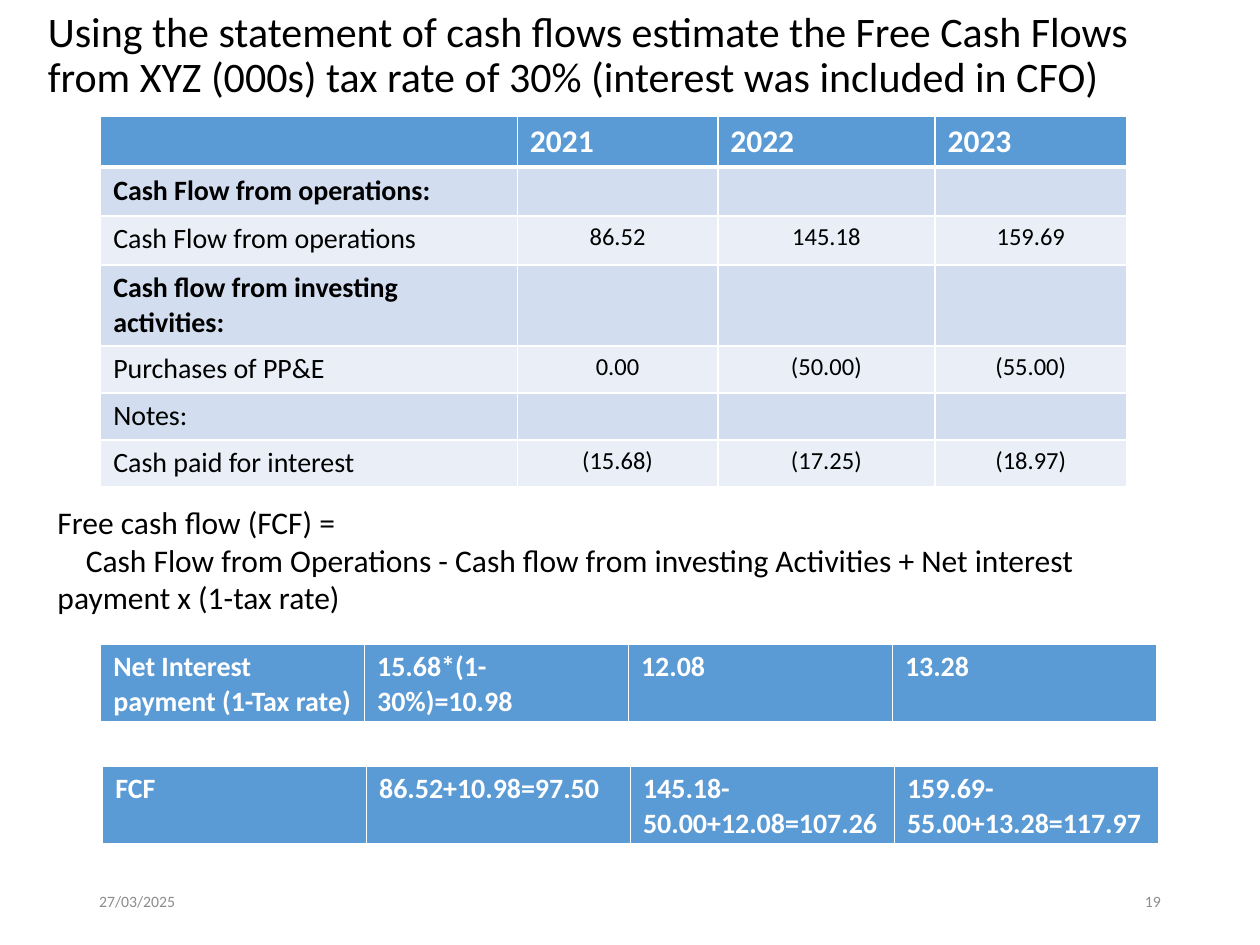
from lxml import etree
from pptx import Presentation
from pptx.dml.color import RGBColor
from pptx.enum.text import MSO_ANCHOR, MSO_AUTO_SIZE, PP_ALIGN
from pptx.oxml.ns import qn
from pptx.util import Cm, Pt

LEFT, MID, RIGHT = PP_ALIGN.LEFT, PP_ALIGN.CENTER, PP_ALIGN.RIGHT
TOP, CENTRE = MSO_ANCHOR.TOP, MSO_ANCHOR.MIDDLE
NO_FIT = MSO_AUTO_SIZE.NONE
TITLE_ONLY = 5
COLORS = {"head": "5B9BD5", "dark": "D2DEEF", "light": "EAEFF7",
          "white": "FFFFFF", "black": "000000", "grey": "8C8C8C"}


class Deck:
    font = "Calibri"

    def __init__(self):
        self.prs = Presentation()
        self.prs.slide_width, self.prs.slide_height = Cm(25.4), Cm(19.05)
        self.slide = self.prs.slides.add_slide(self.prs.slide_layouts[TITLE_ONLY])

    def style(self, para, size, color, bold=False, align=LEFT):
        para.alignment = align
        for run in para.runs:
            font = run.font
            font.name, font.size, font.bold = self.font, Pt(size), bold
            font.color.rgb = RGBColor.from_string(COLORS[color])
        if not para.runs:  # keeps an empty cell from stretching its row
            etree.SubElement(para._p, qn("a:endParaRPr"), sz=str(size * 100))

    def title(self, text, x, y, w, h):
        shape = self.slide.shapes.title
        shape.left, shape.top, shape.width, shape.height = map(Cm, (x, y, w, h))
        frame = shape.text_frame
        frame.text = text
        frame.auto_size, frame.vertical_anchor = NO_FIT, CENTRE
        frame.paragraphs[0].line_spacing = 0.9
        self.style(frame.paragraphs[0], 24, "black")

    def text(self, text, x, y, w, h, size, color="black", align=LEFT, anchor=TOP):
        frame = self.slide.shapes.add_textbox(*map(Cm, (x, y, w, h))).text_frame
        frame.text = text
        frame.word_wrap, frame.vertical_anchor = True, anchor
        for para in frame.paragraphs:
            self.style(para, size, color, align=align)
        return frame

    def cell(self, cell, text, fill, size, color, bold, align, base):
        cell.text = text
        self.style(cell.text_frame.paragraphs[0], size, color, bold, align)
        props = cell._tc.get_or_add_tcPr()
        for side, width in zip("LRTB", (1, 1, 1, base)):
            line = etree.SubElement(props, qn("a:ln" + side), w=str(Pt(width)))
            solid = etree.SubElement(line, qn("a:solidFill"))
            etree.SubElement(solid, qn("a:srgbClr"), val=COLORS["white"])
        cell.fill.solid()
        cell.fill.fore_color.rgb = RGBColor.from_string(COLORS[fill])

    def table(self, rows, x, y, cols, heights, size):
        """First row is a heading; the rest are banded."""
        table = self.slide.shapes.add_table(
            len(rows), len(cols), Cm(x), Cm(y), Cm(sum(cols)), Cm(sum(heights))).table
        table.horz_banding = False
        for col, width in zip(table.columns, cols):
            col.width = Cm(width)
        for i, (row, high) in enumerate(zip(rows, heights)):
            table.rows[i].height = Cm(high)
            for j, text in enumerate(row):
                cell = table.cell(i, j)
                if i == 0:
                    self.cell(cell, text, "head", size, "white", True, LEFT, 3)
                    continue
                fill = "dark" if i % 2 else "light"
                if j == 0:
                    bold = text.startswith("Cash") and text.endswith(":")
                    self.cell(cell, text, fill, 16, "black", bold, LEFT, 1)
                else:
                    self.cell(cell, text, fill, 14, "black", False, MID, 1)


def main():
    deck = Deck()
    deck.title("Using the statement of cash flows estimate the Free Cash Flows from "
               "XYZ (000s) tax rate of 30% (interest was included in CFO)",
               0.71, 0.58, 23.4, 1.12)

    # Cash flow statement
    blank = ["", "", ""]
    deck.table([
        ["", "2021", "2022", "2023"],
        ["Cash Flow from operations:", *blank],
        ["Cash Flow from operations", "86.52", "145.18", "159.69"],
        ["Cash flow from investing activities:", *blank],
        ["Purchases of PP&E", "0.00", "(50.00)", "(55.00)"],
        ["Notes:", *blank],
        ["Cash paid for interest", "(15.68)", "(17.25)", "(18.97)"],
    ], 2.03, 2.34, [8.4, 4.04, 4.38, 3.86],
        [1.03, 0.98, 0.99, 1.63, 0.94, 0.94, 0.94], 18)

    # Formula
    frame = deck.text(
        "Free cash flow (FCF) =\nCash Flow from Operations - Cash flow from investing "
        "Activities + Net interest payment x (1-tax rate)", 0.91, 10.01, 22.38, 2.57, 18)
    frame.paragraphs[1]._p.get_or_add_pPr().set("indent", str(Cm(0.57)))

    # Results
    for x, y, row in (
        (2.03, 12.98, ["Net Interest payment (1-Tax rate)", "15.68*(1-30%)=10.98",
                       "12.08", "13.28"]),
        (2.07, 15.44, ["FCF", "86.52+10.98=97.50", "145.18-50.00+12.08=107.26",
                       "159.69-55.00+13.28=117.97"]),
    ):
        deck.table([row], x, y, [5.32] * 4, [1.59], 16)

    # Footer
    deck.text("27/03/2025", 1.75, 17.65, 5.72, 1.02, 9, "grey", LEFT, CENTRE)
    deck.text("19", 17.93, 17.65, 5.72, 1.02, 9, "grey", RIGHT, CENTRE)

    deck.prs.save("out.pptx")


if __name__ == "__main__":
    main()
